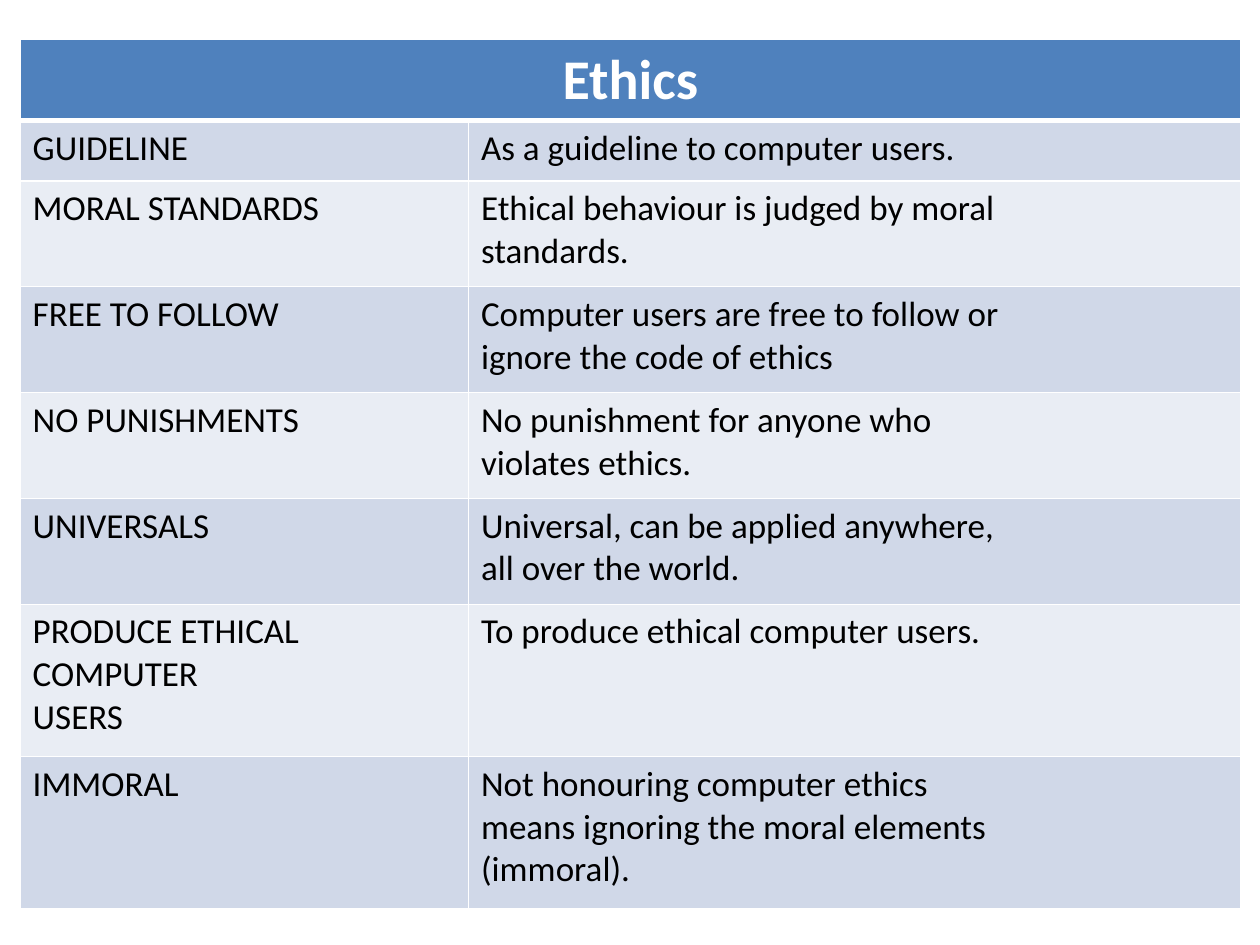
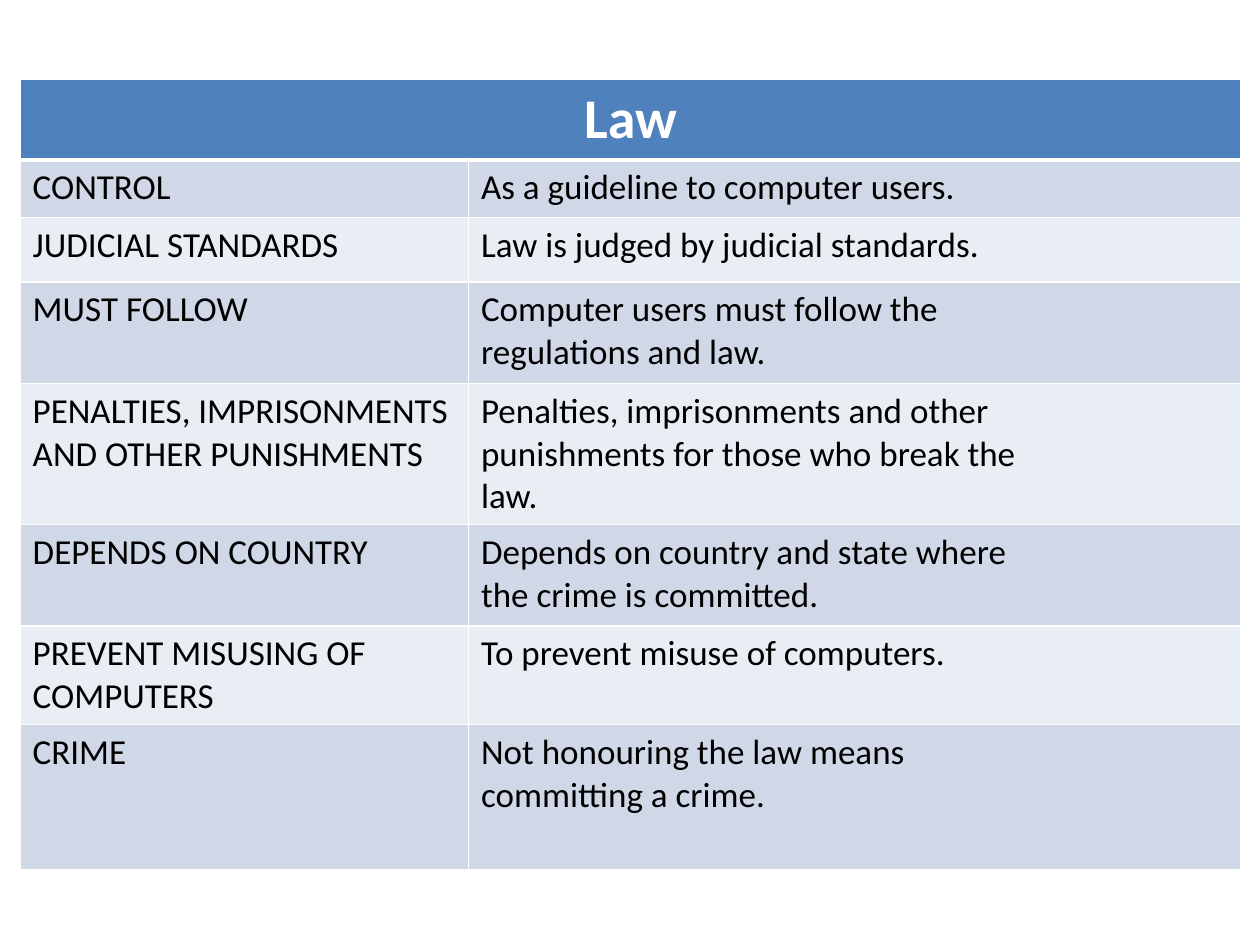
from lxml import etree
from pptx import Presentation
from pptx.dml.color import RGBColor
from pptx.enum.text import PP_ALIGN
from pptx.oxml.ns import qn
from pptx.util import Pt

CENTER, LEFT = PP_ALIGN.CENTER, PP_ALIGN.LEFT
COLORS = {"header": "4F81BD", "odd": "D0D8E8", "even": "E9EDF4",
          "border": "FFFFFF", "title": "FFFFFF", "body": "000000"}
TITLE_FONT = {"name": "Calibri", "size": Pt(32), "bold": True}
BODY_FONT = {"name": "Calibri", "size": Pt(20), "bold": False}
TABLE_LEFT = 11.5
COL_WIDTHS = (256.2, 441.4)
THIN, THICK = 1, 3

ETHICS = [
    ("GUIDELINE", "As a guideline to computer users."),
    ("MORAL STANDARDS", "Ethical behaviour is judged by moral\nstandards."),
    ("FREE TO FOLLOW",
     "Computer users are free to follow or\nignore the code of ethics"),
    ("NO PUNISHMENTS", "No punishment for anyone who\nviolates ethics."),
    ("UNIVERSALS", "Universal, can be applied anywhere,\nall over the world."),
    ("PRODUCE ETHICAL COMPUTER\nUSERS", "To produce ethical computer users."),
    ("IMMORAL", "Not honouring computer ethics\n"
     "means ignoring the moral elements\n(immoral)."),
]
LAW = [
    ("CONTROL", "As a guideline to computer users."),
    ("JUDICIAL STANDARDS", "Law is judged by judicial standards."),
    ("MUST FOLLOW", "Computer users must follow the\nregulations and law."),
    ("PENALTIES, IMPRISONMENTS\nAND OTHER PUNISHMENTS",
     "Penalties, imprisonments and other\n"
     "punishments for those who break the\nlaw."),
    ("DEPENDS ON COUNTRY",
     "Depends on country and state where\nthe crime is committed."),
    ("PREVENT MISUSING OF COMPUTERS", "To prevent misuse of computers."),
    ("CRIME", "Not honouring the law means\ncommitting a crime."),
]
ETHICS_HEIGHTS = (44.8, 34.4, 60.5, 60.5, 60.5, 60.5, 87, 87)
LAW_HEIGHTS = (44.2, 33, 36.8, 58, 75.6, 58, 56.2, 83.2)


def rgb(key):
    """Return the named colour."""
    return RGBColor.from_string(COLORS[key])


def set_borders(cell, top, bottom):
    """Draw the four cell borders, with their widths in points."""
    tcPr = cell._tc.get_or_add_tcPr()
    widths = {"a:lnL": THIN, "a:lnR": THIN, "a:lnT": top, "a:lnB": bottom}
    for i, (tag, width) in enumerate(widths.items()):
        ln = etree.Element(qn(tag), w=str(Pt(width)))
        fill = etree.SubElement(ln, qn("a:solidFill"))
        etree.SubElement(fill, qn("a:srgbClr"), val=COLORS["border"])
        tcPr.insert(i, ln)


def fill_cell(cell, text, fill, font, color, align):
    """Write a cell's text and set its fill."""
    cell.fill.solid()
    cell.fill.fore_color.rgb = rgb(fill)
    cell.text = text
    for p in cell.text_frame.paragraphs:
        p.alignment = align
        for r in p.runs:
            for name, value in font.items():
                setattr(r.font, name, value)
            r.font.color.rgb = rgb(color)


def add_term_table(prs, title, terms, top, heights):
    """Add a slide with a titled table of terms and explanations."""
    slide = prs.slides.add_slide(prs.slide_layouts[6])
    table = slide.shapes.add_table(
        len(heights), len(COL_WIDTHS), Pt(TABLE_LEFT), Pt(top),
        Pt(sum(COL_WIDTHS)), Pt(sum(heights))).table
    table.first_row = table.horz_banding = False
    for col, width in zip(table.columns, COL_WIDTHS):
        col.width = Pt(width)
    for row, height in zip(table.rows, heights):
        row.height = Pt(height)

    table.cell(0, 0).merge(table.cell(0, 1))
    fill_cell(table.cell(0, 0), title, "header", TITLE_FONT, "title", CENTER)
    for i, term in enumerate(terms, 1):
        band = "odd" if i % 2 else "even"
        for j, text in enumerate(term):
            fill_cell(table.cell(i, j), text, band, BODY_FONT, "body", LEFT)
    for i, row in enumerate(table.rows):
        for cell in row.cells:
            set_borders(cell, THICK if i == 1 else THIN,
                        THICK if i == 0 else THIN)


def main():
    """Build both slides and save them."""
    prs = Presentation()
    prs.slide_width, prs.slide_height = Pt(720), Pt(540)
    add_term_table(prs, "Ethics", ETHICS, 22.6, ETHICS_HEIGHTS)
    add_term_table(prs, "Law", LAW, 45, LAW_HEIGHTS)
    prs.save("out.pptx")


if __name__ == "__main__":
    main()
